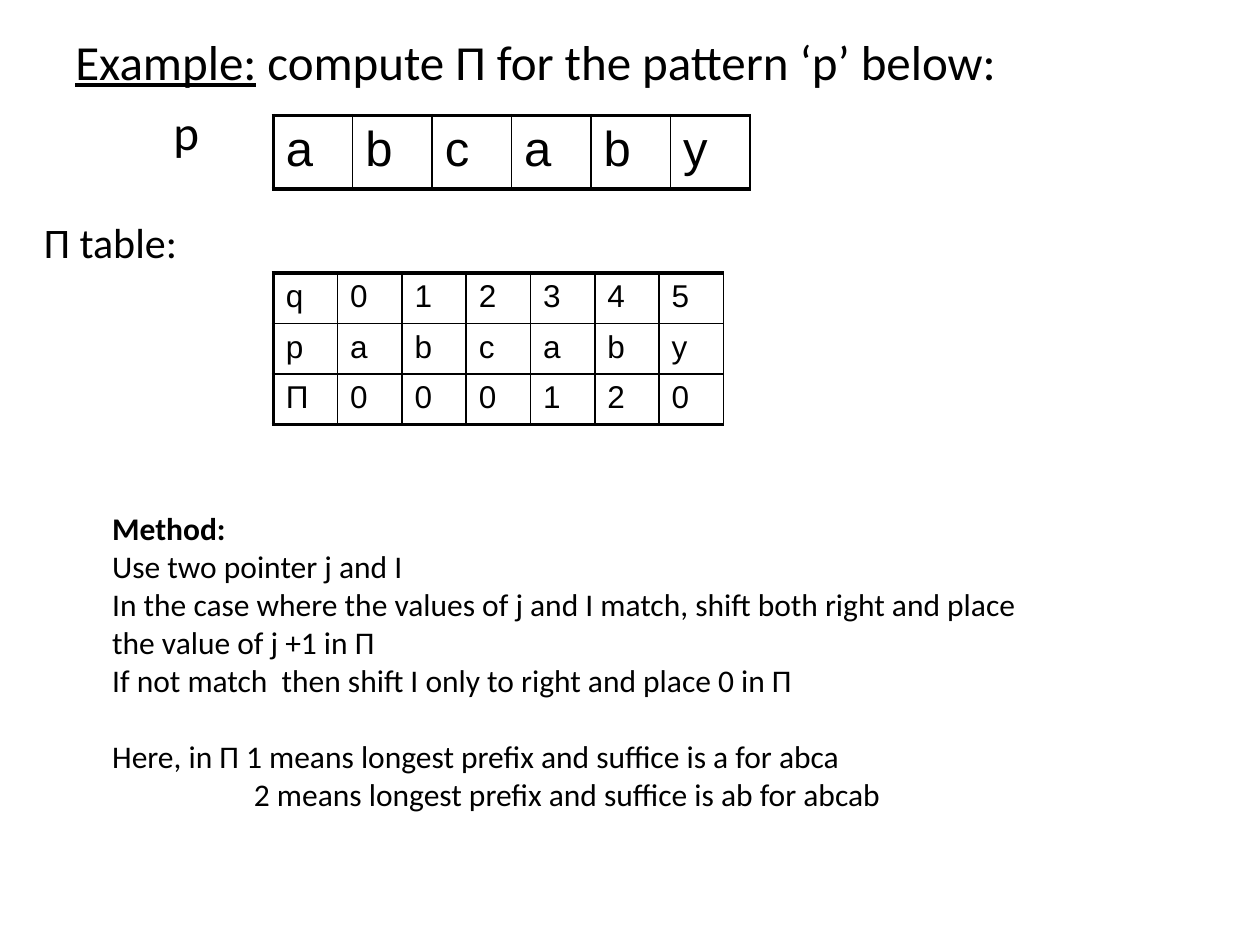
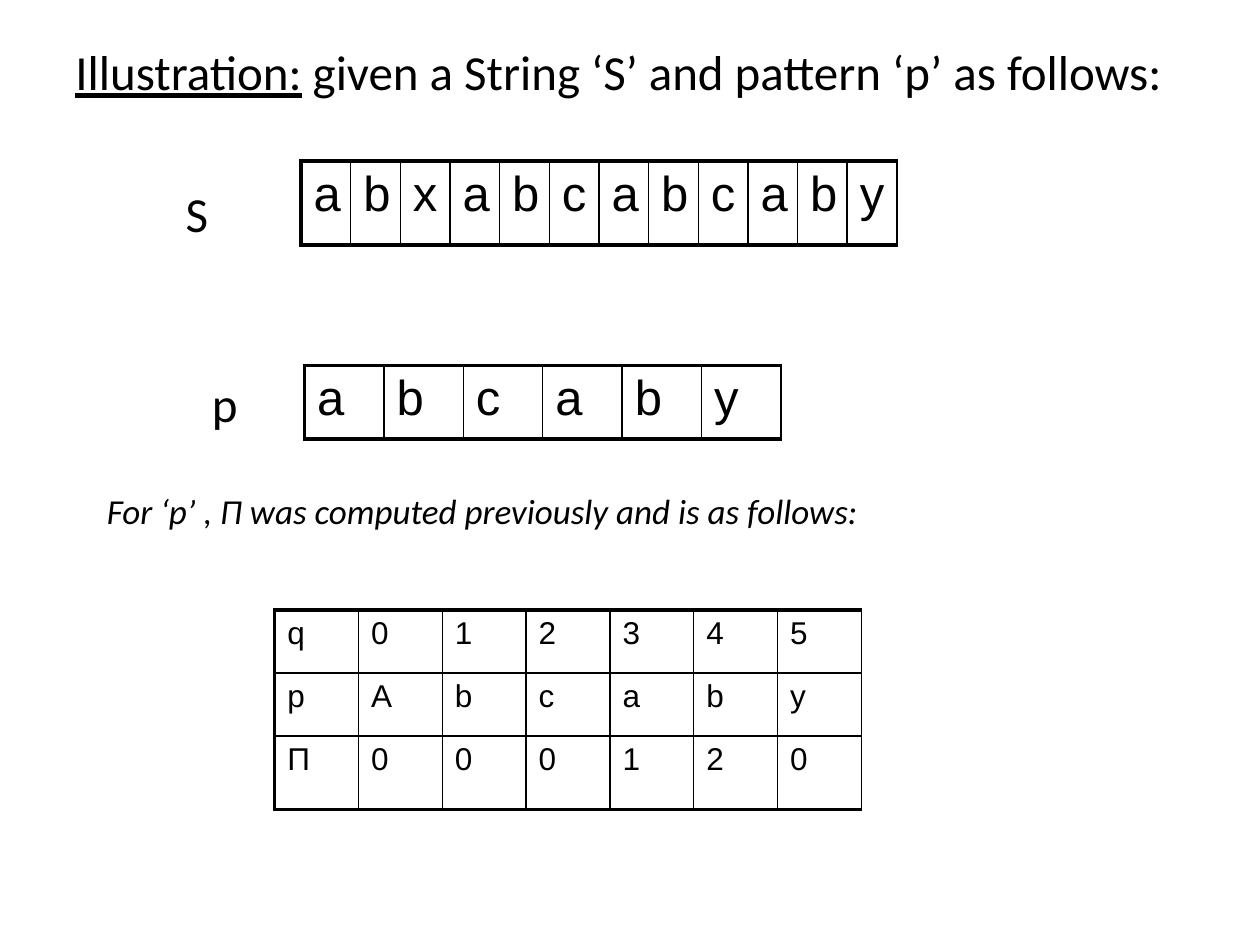
"""Build two slides that compute and illustrate the prefix table of a pattern."""
from dataclasses import dataclass

from lxml.etree import SubElement
from pptx import Presentation
from pptx.dml.color import RGBColor
from pptx.oxml.ns import qn
from pptx.util import Pt

BLACK = "000000"
TEXT_FONT, CELL_FONT = "Calibri", "Arial"
TITLE_SIZE, TABLE_SIZE = 28, 18
THICK, THIN = 2.25, 1
PATTERN = "abcaby"


@dataclass
class Line:
    text: str
    lead: str = ""
    size: float = TABLE_SIZE
    bold: bool = False
    italic: bool = False
    left: float = 0
    before: float = 0
    spacing: float = 1.0


@dataclass
class TextBox:
    left: float
    top: float
    width: float
    height: float
    lines: list[Line]
    wrap: bool = True


@dataclass
class Grid:
    left: float
    top: float
    col_width: float
    row_heights: list[float]
    rows: list[str]
    size: float = TITLE_SIZE


def color(value: str) -> RGBColor:
    return RGBColor.from_string(value)


def set_font(font, name: str, size: float) -> None:
    font.name, font.size = name, Pt(size)
    font.color.rgb = color(BLACK)


def heading(lead: str, text: str) -> Line:
    return Line(text, lead, TITLE_SIZE, before=10, spacing=0.9)


def label(text: str, left: float, before: float) -> Line:
    return Line(text, size=TITLE_SIZE, left=left, before=before, spacing=0.9)


def draw_text(s, box: TextBox) -> None:
    sp = s.shapes.add_textbox(Pt(box.left), Pt(box.top), Pt(box.width), Pt(box.height))
    tf = sp.text_frame
    tf.word_wrap = box.wrap
    for i, line in enumerate(box.lines):
        p = tf.add_paragraph() if i else tf.paragraphs[0]
        p.space_before, p.line_spacing = Pt(line.before), line.spacing
        p._p.get_or_add_pPr().set("marL", str(Pt(line.left)))
        set_font(p.font, TEXT_FONT, line.size)
        p.font.bold, p.font.italic = line.bold, line.italic
        if line.lead:
            r = p.add_run()
            r.text, r.font.underline = line.lead, True
        p.add_run().text = line.text


def draw_borders(cell, widths: dict[str, float]) -> None:
    tc_pr = cell._tc.get_or_add_tcPr()
    for side, width in widths.items():
        ln = SubElement(tc_pr, qn(f"a:ln{side}"), w=str(Pt(width)))
        fill = SubElement(ln, qn("a:solidFill"))
        SubElement(fill, qn("a:srgbClr"), val=BLACK)


def draw_grid(s, grid: Grid) -> None:
    n_rows, n_cols = len(grid.rows), len(grid.rows[0])
    table = s.shapes.add_table(
        n_rows, n_cols, Pt(grid.left), Pt(grid.top),
        Pt(grid.col_width * n_cols), Pt(sum(grid.row_heights))).table
    table.first_row = table.horz_banding = False
    for col in table.columns:
        col.width = Pt(grid.col_width)
    for i, (height, row) in enumerate(zip(grid.row_heights, grid.rows)):
        table.rows[i].height = Pt(height)
        for j, text in enumerate(row):
            cell = table.cell(i, j)
            draw_borders(cell, {
                "L": THIN if j else THICK,
                "R": THIN,
                "T": THIN if i else THICK,
                "B": THICK if i == n_rows - 1 else THIN,
            })
            cell.fill.background()
            p = cell.text_frame.paragraphs[0]
            set_font(p.font, CELL_FONT, grid.size)
            p.add_run().text = text


def prefix_rows(pattern: str) -> list[str]:
    return ["q012345", "p" + pattern, "Π000120"]


SLIDES = [
    [
        TextBox(36, 18, 582, 96, [
            heading("Example:", " compute Π for the pattern ‘p’ below:"),
            label("p", 56, 10),
        ]),
        Grid(156.2, 66, 45.4, [42], [PATTERN]),
        Grid(156.2, 156, 36.75, [28.1] * 3, prefix_rows(PATTERN), TABLE_SIZE),
        TextBox(18, 120, 306, 36, [Line("Π table:", size=24)]),
        TextBox(57, 287.5, 533.5, 181.5, [
            Line("Method:", bold=True),
            Line("Use two pointer j and I"),
            Line("In the case where the values of j and I match, shift both right "
                 "and place the value of j +1 in Π"),
            Line("If not match  then shift I only to right and place 0 in Π"),
            Line("Here, in Π 1 means longest prefix and suffice is a for abca", before=22),
            Line("2 means longest prefix and suffice is ab for abcab", left=81),
        ]),
    ],
    [
        TextBox(36, 24, 648, 458.5, [
            heading("Illustration:", " given a String ‘S’ and pattern ‘p’ as follows:"),
            label("S", 63, 51),
        ]),
        Grid(172, 92, 28.4, [48], ["abxabcabcaby"]),
        TextBox(114, 210, 30, 41, [Line("p", size=TITLE_SIZE)], wrap=False),
        TextBox(54, 276.4, 583, 31, [
            Line("For ‘p’ , Π was computed previously and is as follows:",
                 size=20, italic=True),
        ]),
        Grid(174, 208.8, 45.4, [42], [PATTERN]),
        Grid(157, 348.5, 47.9, [36, 36, 42], prefix_rows("Abcaby"), TABLE_SIZE),
    ],
]


def main() -> None:
    prs = Presentation()
    prs.slide_width, prs.slide_height = Pt(720), Pt(540)
    for items in SLIDES:
        s = prs.slides.add_slide(prs.slide_layouts[6])
        for item in items:
            if isinstance(item, Grid):
                draw_grid(s, item)
            else:
                draw_text(s, item)
    prs.save("out.pptx")


main()
